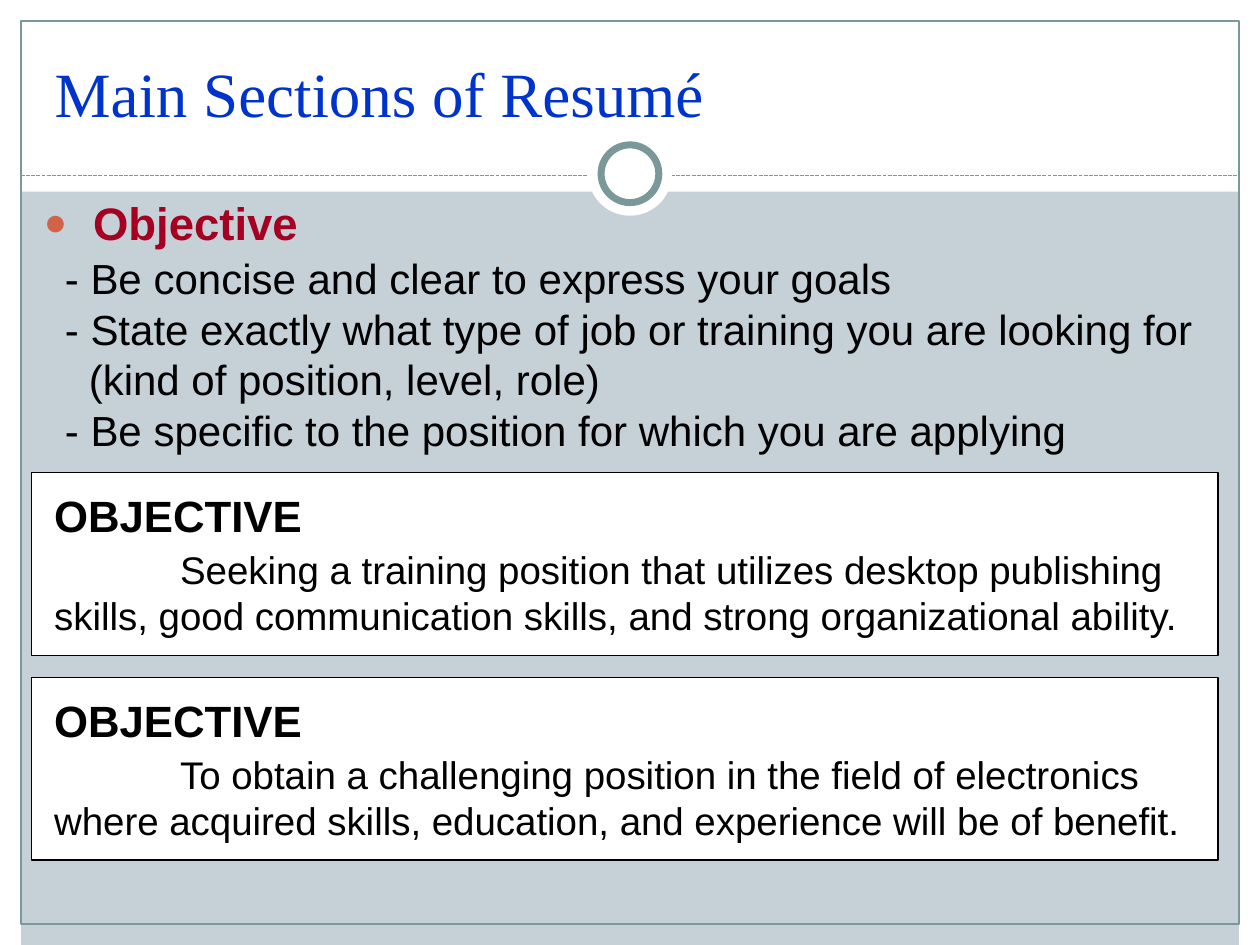
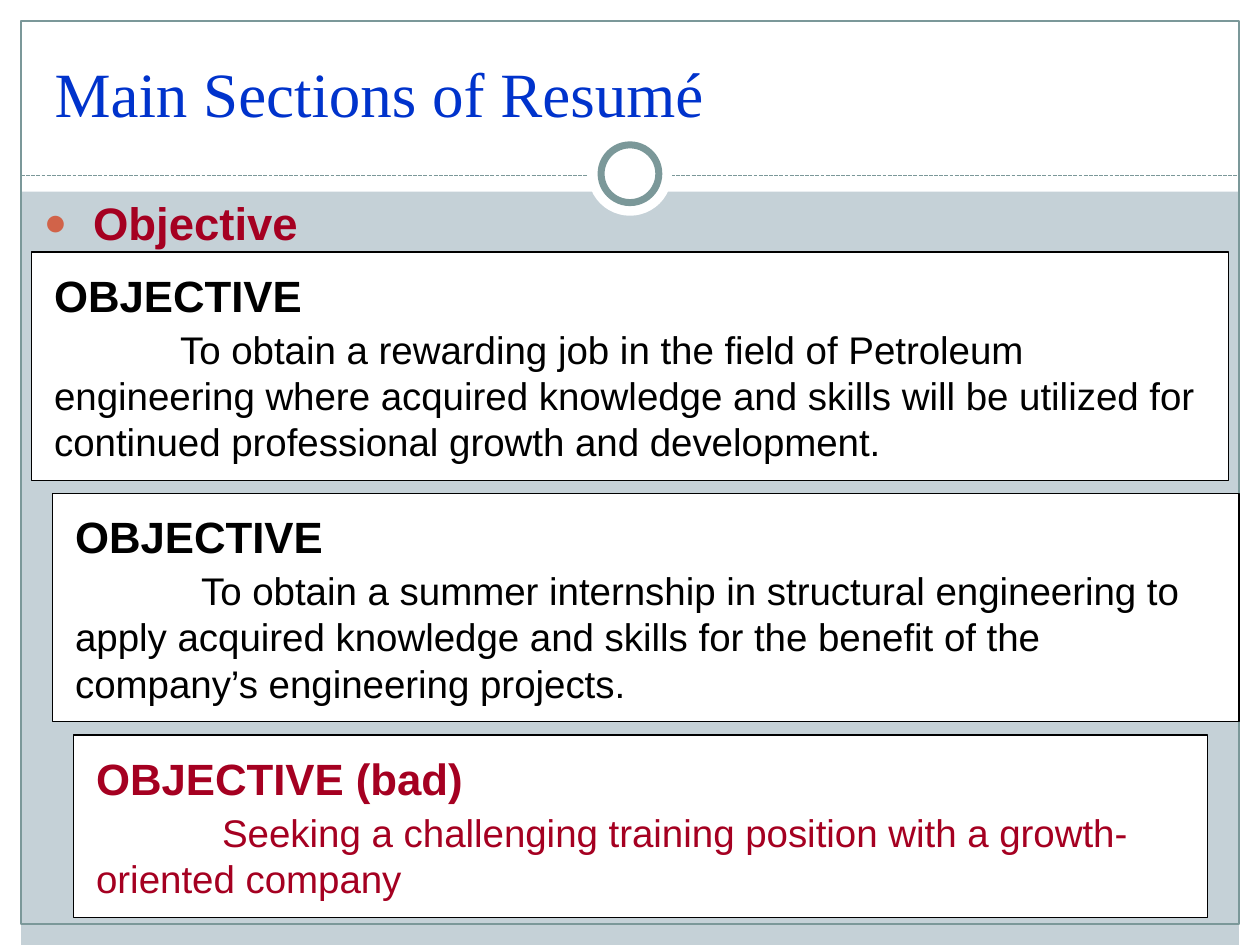
from dataclasses import dataclass

from lxml import etree
from pptx import Presentation
from pptx.dml.color import RGBColor
from pptx.enum.dml import MSO_LINE
from pptx.enum.shapes import MSO_CONNECTOR, MSO_SHAPE
from pptx.enum.text import MSO_ANCHOR, MSO_AUTO_SIZE, PP_ALIGN
from pptx.oxml.ns import qn
from pptx.util import Inches, Pt

RECTANGLE = MSO_SHAPE.RECTANGLE
OVAL = MSO_SHAPE.OVAL
STRAIGHT = MSO_CONNECTOR.STRAIGHT
DASHED = MSO_LINE.SQUARE_DOT
TOP = MSO_ANCHOR.TOP
BOTTOM = MSO_ANCHOR.BOTTOM
LEFT = PP_ALIGN.LEFT
NO_AUTOFIT = MSO_AUTO_SIZE.NONE

WIDTH, HEIGHT = Inches(10), Inches(7.5)
COLUMNS, ROWS = 120, 90
MARGIN = 2
TITLE = "Main Sections of Resumé"


@dataclass(frozen=True)
class Theme:
    background: str = "C5D1D7"
    white: str = "FFFFFF"
    black: str = "000000"
    frame: str = "7B9899"
    title: str = "0033CC"
    accent: str = "A50021"
    bullet: str = "D16349"
    title_font: str = "Times New Roman"
    body_font: str = "Arial"
    title_size: float = 36
    section_size: float = 26
    heading_size: float = 25
    advice_size: float = 24
    example_size: float = 22
    thin_line: float = 0.75
    ring_line: float = 4


THEME = Theme()


def color(value):
    return RGBColor.from_string(value)


def across(columns):
    return round(WIDTH * columns / COLUMNS)


def down(rows):
    return round(HEIGHT * rows / ROWS)


def grid_box(left, top, width, height):
    return across(left), down(top), across(width), down(height)


def style_paragraph(paragraph, size, ink, font=THEME.body_font, bold=False):
    paragraph.alignment = LEFT
    paragraph.font.name = font
    paragraph.font.size = Pt(size)
    paragraph.font.bold = bold
    paragraph.font.color.rgb = color(ink)


def set_indent(paragraph, margin=0, first_line=0):
    properties = paragraph._p.get_or_add_pPr()
    properties.set("marL", str(Inches(margin)))
    properties.set("indent", str(Inches(first_line)))
    return properties


def set_frame(text_frame, side=0.1, edge=0.05, anchor=TOP):
    text_frame.word_wrap = True
    text_frame.auto_size = NO_AUTOFIT
    text_frame.vertical_anchor = anchor
    text_frame.margin_left = text_frame.margin_right = Inches(side)
    text_frame.margin_top = text_frame.margin_bottom = Inches(edge)
    return text_frame


def add_panel(slide, kind, box, fill=None, line=None, line_width=THEME.thin_line):
    shape = slide.shapes.add_shape(kind, *grid_box(*box))
    shape.shadow.inherit = False
    if fill:
        shape.fill.solid()
        shape.fill.fore_color.rgb = color(fill)
    else:
        shape.fill.background()
    if line:
        shape.line.color.rgb = color(line)
        shape.line.width = Pt(line_width)
    else:
        shape.line.fill.background()
    return shape


def add_divider(slide, row):
    divider = slide.shapes.add_connector(
        STRAIGHT, across(MARGIN), down(row), across(COLUMNS - MARGIN), down(row)
    )
    divider.line.color.rgb = color(THEME.frame)
    divider.line.width = Pt(THEME.thin_line)
    divider.line.dash_style = DASHED
    etree.SubElement(divider._element.spPr, qn("a:effectLst"))


def add_disc(slide, diameter, middle, **style):
    box = ((COLUMNS - diameter) / 2, middle - diameter / 2, diameter, diameter)
    add_panel(slide, OVAL, box, **style)


def decorate_layout(layout, slide):
    layout.background.fill.solid()
    layout.background.fill.fore_color.rgb = color(THEME.background)
    for placeholder in list(layout.placeholders)[1:]:
        placeholder.element.getparent().remove(placeholder.element)

    for box in (
        (0, 0, COLUMNS, 18.25),
        (0, 0, MARGIN, ROWS),
        (COLUMNS - MARGIN, 0, MARGIN, ROWS),
    ):
        add_panel(slide, RECTANGLE, box, fill=THEME.white)
    frame = (MARGIN, MARGIN, COLUMNS - 2 * MARGIN, ROWS - 2 * MARGIN)
    add_panel(slide, RECTANGLE, frame, line=THEME.frame)
    add_divider(slide, 16.75)
    add_disc(slide, 8, 16.55, fill=THEME.white)
    add_disc(slide, 5.5, 16.55, fill=THEME.white, line=THEME.frame,
             line_width=THEME.ring_line)

    for shape in list(slide.shapes):
        if not shape.is_placeholder:
            layout.shapes.element.append(shape.element)


def set_title(slide):
    title = slide.shapes.title
    title.left, title.top, title.width, title.height = grid_box(4, 3, 112, 10)
    text_frame = set_frame(title.text_frame, anchor=BOTTOM)
    text_frame.text = TITLE
    style_paragraph(text_frame.paragraphs[0], THEME.title_size, THEME.title,
                    THEME.title_font)


def add_section(slide, name):
    section = slide.shapes.add_textbox(*grid_box(3, 18, 62, 6.33))
    text_frame = set_frame(section.text_frame)
    text_frame.text = name
    paragraph = text_frame.paragraphs[0]
    style_paragraph(paragraph, THEME.section_size, THEME.accent, bold=True)
    paragraph.space_before = Pt(4.9)
    properties = set_indent(paragraph, 0.39, -0.39)
    bullet_color = etree.SubElement(properties, qn("a:buClr"))
    etree.SubElement(bullet_color, qn("a:srgbClr"), val=THEME.bullet)
    etree.SubElement(properties, qn("a:buSzPct"), val="85000")
    etree.SubElement(properties, qn("a:buFont"), typeface=THEME.body_font)
    etree.SubElement(properties, qn("a:buChar"), char="●")


def add_advice(slide, lines):
    advice = slide.shapes.add_textbox(*grid_box(5, 23.5, 110, 20.4))
    text_frame = set_frame(advice.text_frame)
    text_frame.text = "\n".join(lines)
    for paragraph in text_frame.paragraphs:
        style_paragraph(paragraph, THEME.advice_size, THEME.black)
        if not paragraph.text.startswith("-"):
            set_indent(paragraph, 0.19)


def add_example(slide, box, statement, heading="OBJECTIVE", ink=THEME.black):
    card = add_panel(slide, RECTANGLE, box, THEME.white, THEME.black)
    text_frame = set_frame(card.text_frame, 0.18, 0.13)
    text_frame.text = f"{heading}\n{statement}"
    title, body = text_frame.paragraphs
    style_paragraph(title, THEME.heading_size, ink, bold=True)
    style_paragraph(body, THEME.example_size, ink)
    body.space_before = Pt(2.8)
    set_indent(body, first_line=1)


def add_objective_slide(presentation, layout):
    slide = presentation.slides.add_slide(layout)
    set_title(slide)
    add_section(slide, "Objective")
    return slide


def main():
    presentation = Presentation()
    presentation.slide_width, presentation.slide_height = WIDTH, HEIGHT
    layout = presentation.slide_layouts.get_by_name("Title Only")
    two_lines, three_lines = 17.4, 21.75

    guidance = presentation.slides.add_slide(layout)
    decorate_layout(layout, guidance)
    set_title(guidance)
    add_section(guidance, "Objective")
    add_advice(guidance, (
        "- Be concise and clear to express your goals",
        "- State exactly what type of job or training you are looking for",
        "(kind of position, level, role)",
        "- Be specific to the position for which you are applying",
    ))
    add_example(guidance, (3, 45, 113, two_lines),
                "Seeking a training position that utilizes desktop publishing "
                "skills, good communication skills, and strong organizational ability.")
    add_example(guidance, (3, 64.5, 113, two_lines),
                "To obtain a challenging position in the field of electronics "
                "where acquired skills, education, and experience will be of benefit.")

    examples = add_objective_slide(presentation, layout)
    add_example(examples, (3, 24, 114, three_lines),
                "To obtain a rewarding job in the field of Petroleum engineering "
                "where acquired knowledge and skills will be utilized for "
                "continued professional growth and development.")
    add_example(examples, (5, 47, 113, three_lines),
                "To obtain a summer internship in structural engineering to apply "
                "acquired knowledge and skills for the benefit of the "
                "company’s engineering projects.")
    add_example(examples, (7, 70, 108, two_lines),
                "Seeking a challenging training position with a growth-oriented company",
                "OBJECTIVE (bad)", THEME.accent)

    presentation.save("out.pptx")


if __name__ == "__main__":
    main()
